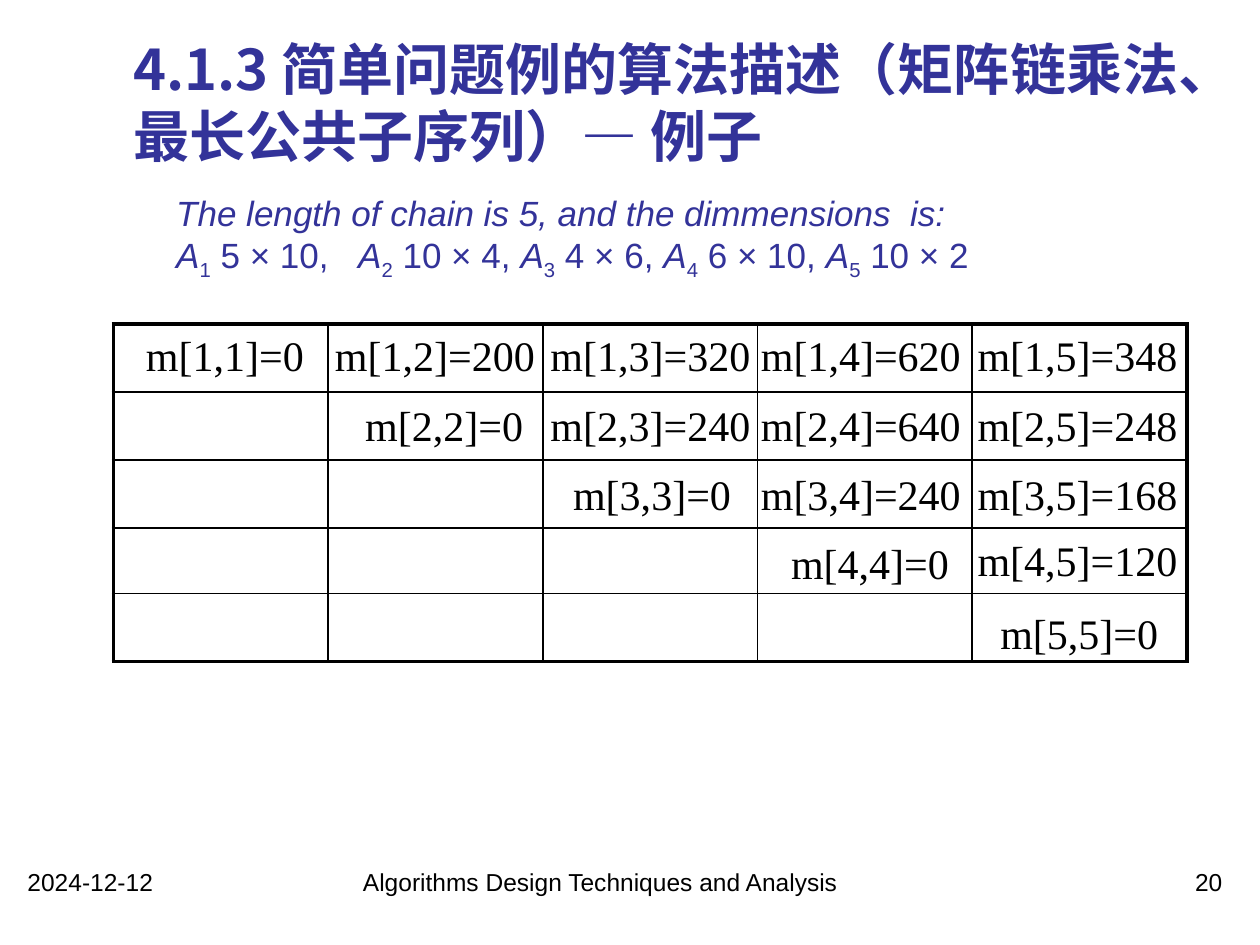
from lxml import etree
from pptx import Presentation
from pptx.dml.color import RGBColor
from pptx.enum import text
from pptx.oxml import ns
from pptx.util import Inches, Pt

BLACK = RGBColor(0x00, 0x00, 0x00)
WHITE = RGBColor(0xFF, 0xFF, 0xFF)
INDIGO = RGBColor(0x33, 0x33, 0x99)
SANS, SERIF, CHINESE = "Arial", "Times New Roman", "Noto Sans CJK SC"

FOOTER = [
    ("2024-12-12", (0.12, 6.83, 2.33, 0.52), text.PP_ALIGN.LEFT),
    ("Algorithms Design Techniques and Analysis", (1.93, 6.83, 5.67, 0.52),
     text.PP_ALIGN.CENTER),
    ("20", (7.47, 6.83, 2.33, 0.52), text.PP_ALIGN.RIGHT),
]
DIMENSIONS = [" 5 × 10,   ", " 10 × 4, ", " 4 × 6, ", " 6 × 10, ", " 10 × 2"]
# Minimum costs m[i,j]; each row starts on the diagonal
COSTS = [[0, 200, 320, 620, 348], [0, 240, 640, 248], [0, 240, 168], [0, 120], [0]]
DIAGONAL_LEFTS = [1.06, 2.8, 4.45, 6.18, 7.84]
UPPER_LEFTS = [None, 2.56, 4.27, 5.94, 7.66]
ROW_HEIGHTS = [0.54, 0.54, 0.54, 0.52, 0.54]
LABEL_PITCH = 0.55


def add_box(page, area, wrap=True):
    box = page.shapes.add_textbox(*[Inches(length) for length in area])
    box.text_frame.word_wrap = wrap
    return box.text_frame


def style(font, name, size, color):
    font.name, font.size, font.color.rgb = name, Pt(size), color


def add_line(page, area, words, name, size, wrap=True, align=None):
    para = add_box(page, area, wrap).paragraphs[0]
    para.text, para.alignment = words, align
    style(para.font, name, size, BLACK)


def add_title(page, area):
    frame = add_box(page, area)
    frame.vertical_anchor = text.MSO_ANCHOR.MIDDLE
    frame.margin_top = frame.margin_bottom = 0
    para = frame.paragraphs[0]
    para.line_spacing = Pt(38.4)
    for words, name in [
        ("4.1.3 简单问题例的算法描述（矩阵链乘法、最长公共子序列）— ", CHINESE),
        ("例子", SERIF),
    ]:
        span = para.add_run()
        span.text = words
        style(span.font, name, 32, INDIGO)
        span.font.bold = True
        # East Asian typeface
        etree.SubElement(span.font._element, ns.qn("a:ea"), typeface=CHINESE)


def add_chain(page, area):
    frame = add_box(page, area)
    intro, chain = frame.paragraphs[0], frame.add_paragraph()
    intro.text = "The length of chain is 5, and the dimmensions  is:"
    intro.font.italic = True
    for number, size in enumerate(DIMENSIONS, 1):
        matrix, index, shape = [chain.add_run() for _ in range(3)]
        matrix.text, index.text, shape.text = "A", str(number), size
        matrix.font.italic = True
        index.font._element.set("baseline", "-25000")
    for para in (intro, chain):
        style(para.font, SANS, 20, INDIGO)


def set_border(cell, side, width):
    line = etree.SubElement(cell._tc.get_or_add_tcPr(), ns.qn(f"a:ln{side}"),
                            w=str(Pt(width)))
    fill = etree.SubElement(line, ns.qn("a:solidFill"))
    etree.SubElement(fill, ns.qn("a:srgbClr"), val=str(BLACK))


def add_grid(page, area):
    count = len(ROW_HEIGHTS)
    table = page.shapes.add_table(
        count, count, *[Inches(length) for length in area]).table
    for column in table.columns:
        column.width = Inches(area[2] / count)
    for r, height in enumerate(ROW_HEIGHTS):
        table.rows[r].height = Inches(height)
        for c in range(count):
            cell = table.cell(r, c)
            outer = {"L": c == 0, "R": c == count - 1,
                     "T": r == 0, "B": r == count - 1}
            for side, is_outer in outer.items():
                set_border(cell, side, 2.25 if is_outer else 1)
            cell.fill.solid()
            cell.fill.fore_color.rgb = WHITE


def add_costs(page, top):
    for r, costs in enumerate(COSTS):
        for c, cost in enumerate(costs, r):
            left, width = ((DIAGONAL_LEFTS[c], 1.45) if r == c
                           else (UPPER_LEFTS[c], 1.79))
            # The label m[4,5] sits slightly higher than its row
            lift = 0.03 if (r, c) == (3, 4) else 0
            add_line(page, (left, top + r * LABEL_PITCH - lift, width, 0.5),
                     f"m[{r + 1},{c + 1}]={cost}", SERIF, 24, wrap=False)


def add_footer(page):
    for words, area, align in FOOTER:
        add_line(page, area, words, SANS, 14, align=align)


def main():
    deck = Presentation()
    deck.slide_width, deck.slide_height = Inches(10), Inches(7.5)
    page = deck.slides.add_slide(deck.slide_layouts[6])
    add_footer(page)
    add_chain(page, (1.3, 1.47, 8.19, 0.77))
    add_grid(page, (0.9, 2.57, 8.52, 2.68))
    add_costs(page, 2.57)
    add_title(page, (0.96, 0.3, 8.61, 1.01))
    deck.save("out.pptx")


if __name__ == "__main__":
    main()
